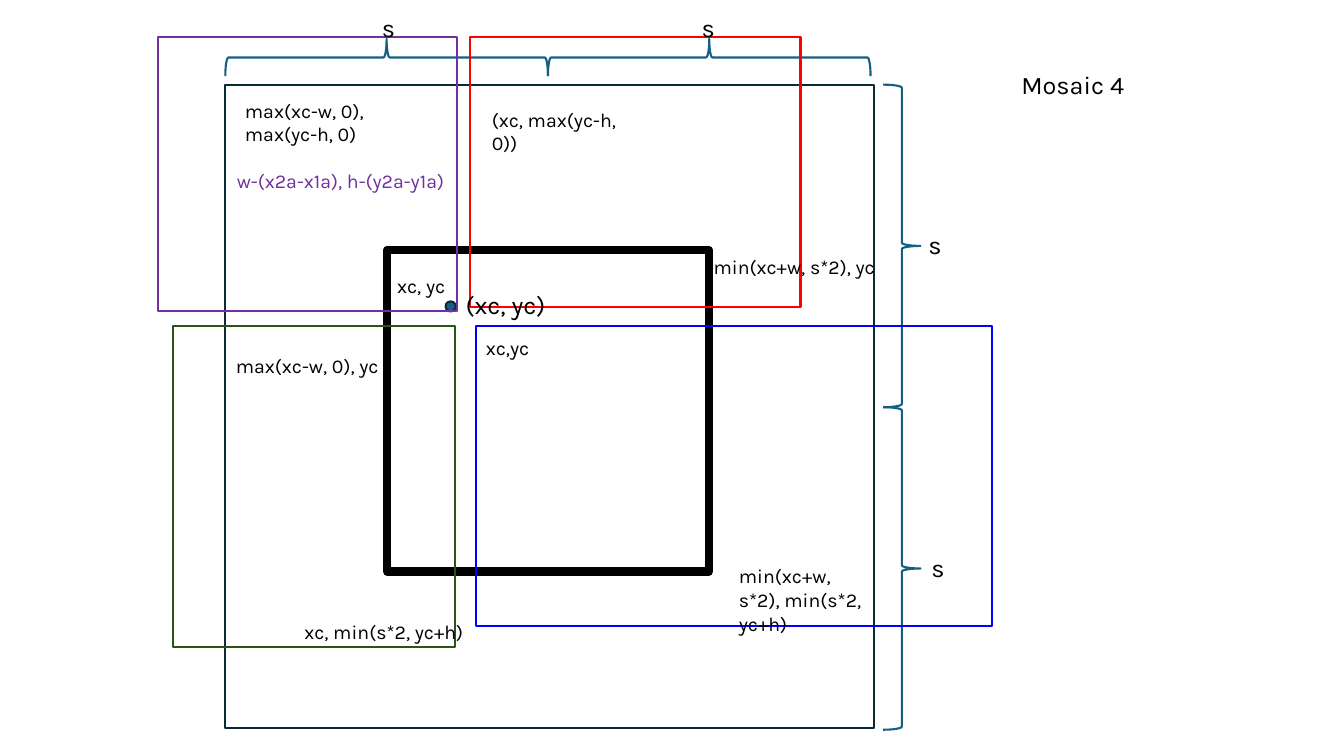
import pptx
import pptx.util
import pptx.dml.color
import pptx.enum.shapes
import pptx.enum.text
from pptx.util import Inches

THEME = {
    "font": "Karla", "large": 18, "small": 14, "thin": 1.5, "thick": 6,
    "black": "000000", "navy": "092A39", "teal": "156082", "purple": "7030A0",
    "red": "FF0000", "green": "275417", "blue": "0000FF",
}
SHAPE = pptx.enum.shapes.MSO_SHAPE


def add_outline(kind, left, top, width, height, color, weight="thin"):
    outline = slide.shapes.add_shape(
        kind, Inches(left), Inches(top), Inches(width), Inches(height))
    outline.shadow.inherit = False
    outline.fill.background()
    outline.line.color.rgb = pptx.dml.color.RGBColor.from_string(THEME[color])
    outline.line.width = pptx.util.Pt(THEME[weight])
    return outline


def write_label(label, text, size, color="black"):
    frame = label.text_frame
    frame.text = text
    frame.word_wrap = True
    frame.vertical_anchor = pptx.enum.text.MSO_ANCHOR.TOP
    frame.auto_size = pptx.enum.text.MSO_AUTO_SIZE.SHAPE_TO_FIT_TEXT
    for paragraph in frame.paragraphs:
        paragraph.alignment = pptx.enum.text.PP_ALIGN.LEFT
        for run in paragraph.runs:
            run.font.name = THEME["font"]
            run.font.size = pptx.util.Pt(THEME[size])
            run.font.color.rgb = pptx.dml.color.RGBColor.from_string(THEME[color])


presentation = pptx.Presentation()
presentation.slide_width = Inches(13.33)
presentation.slide_height = Inches(7.5)
slide = presentation.slides.add_slide(presentation.slide_layouts[5])

# Title
title = slide.shapes.title
title.left, title.top = Inches(10.03), Inches(0.64)
title.width, title.height = Inches(1.44), Inches(0.4)
write_label(title, "Mosaic 4", "large")

# Mosaic canvas, two s long on each side
add_outline(SHAPE.RECTANGLE, 2.23, 0.84, 6.44, 6.38, "navy")

# Braces marking each length s along the right and top sides
side = 3.2
depth = 0.37
for step in range(2):
    add_outline(SHAPE.RIGHT_BRACE, 8.76, 0.84 + step * side, depth, side, "teal")
    top_brace = add_outline(
        SHAPE.RIGHT_BRACE, 3.65 + step * side, -1.03, depth, side, "teal")
    top_brace.rotation = 270

# Mosaic centre point
centre = add_outline(SHAPE.OVAL, 4.42, 2.99, 0.1, 0.1, "navy")
centre.fill.solid()
centre.fill.fore_color.rgb = pptx.dml.color.RGBColor.from_string(THEME["teal"])

# Area where the centre may fall
add_outline(SHAPE.RECTANGLE, 3.84, 2.48, 3.19, 3.19, "black", "thick")

# The four tiles around the centre
for left, top, width, height, color in [
    (1.57, 0.37, 2.96, 2.72, "purple"),
    (4.66, 0.37, 3.28, 2.68, "red"),
    (1.72, 3.23, 2.79, 3.19, "green"),
    (4.72, 3.23, 5.12, 2.98, "blue"),
]:
    add_outline(SHAPE.RECTANGLE, left, top, width, height, color)

# Side lengths and tile coordinates
for text, left, top, width, height, size, color in [
    ("s", 9.11, 2.23, 0.29, 0.4, "large", "black"),
    ("s", 9.14, 5.43, 0.29, 0.4, "large", "black"),
    ("s", 3.69, 0.07, 0.29, 0.4, "large", "black"),
    ("s", 6.86, 0.07, 0.29, 0.4, "large", "black"),
    ("(xc, yc)", 4.52, 2.82, 1.32, 0.4, "large", "black"),
    ("max(xc-w, 0),\nmax(yc-h, 0)", 2.33, 0.93, 1.65, 0.57, "small", "black"),
    ("xc, yc", 3.84, 2.67, 1.65, 0.34, "small", "black"),
    ("(xc, max(yc-h, 0))", 4.78, 1.02, 1.68, 0.34, "small", "black"),
    ("(min(xc+w, s*2), yc", 6.91, 2.48, 2.36, 0.34, "small", "black"),
    ("max(xc-w, 0), yc", 2.24, 3.46, 1.65, 0.34, "small", "black"),
    ("xc, min(s*2, yc+h)", 2.92, 6.1, 1.93, 0.34, "small", "black"),
    ("xc,yc", 4.72, 3.28, 1.65, 0.34, "small", "black"),
    ("min(xc+w, s*2), min(s*2, yc+h)", 7.23, 5.55, 1.56, 0.57, "small", "black"),
    ("w-(x2a-x1a), h-(y2a-y1a)", 2.25, 1.63, 2.32, 0.81, "small", "purple"),
]:
    label = slide.shapes.add_textbox(
        Inches(left), Inches(top), Inches(width), Inches(height))
    write_label(label, text, size, color)

presentation.save("out.pptx")
